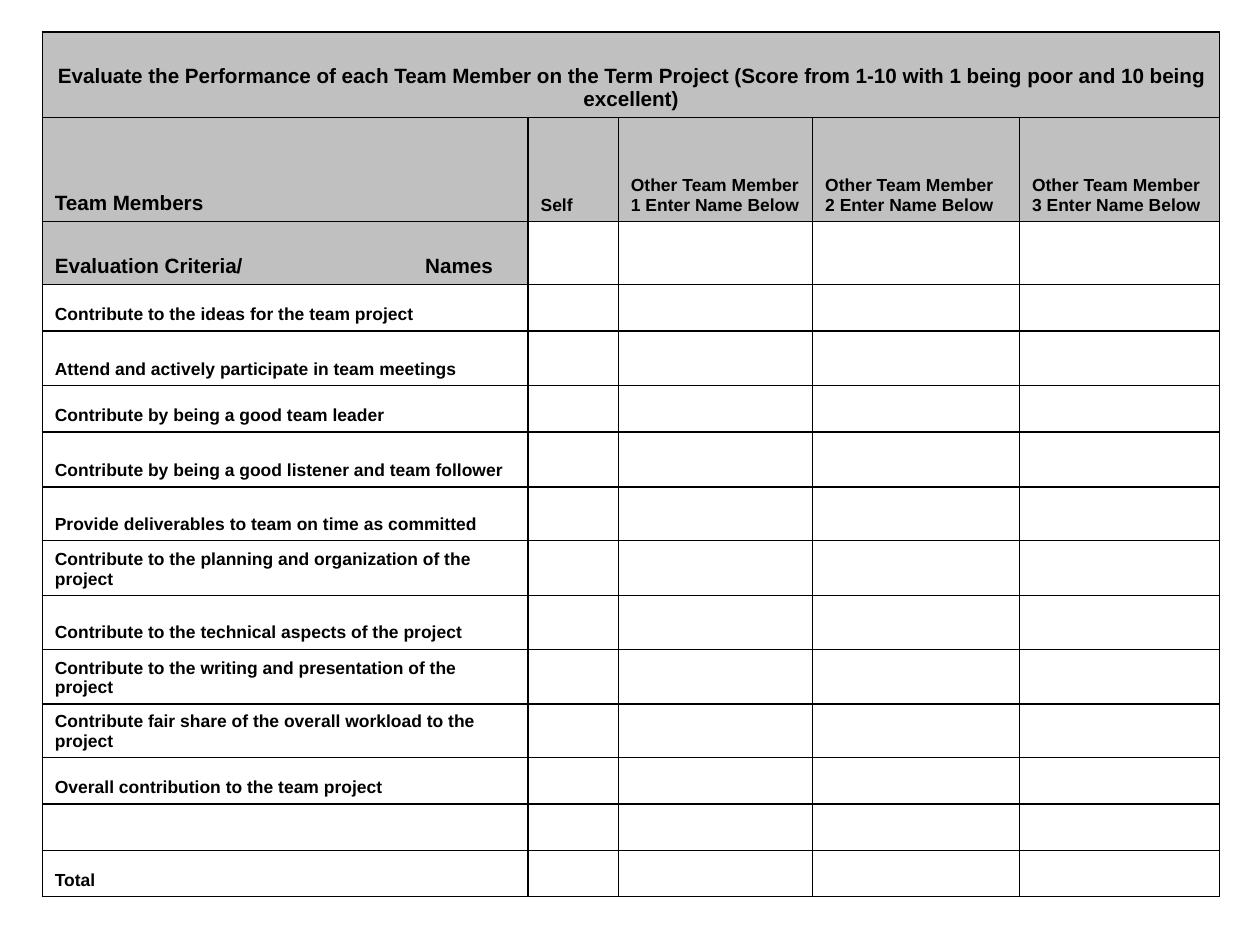
"""Build a one-slide form for scoring team members on a term project."""
from lxml.etree import SubElement
from pptx import Presentation
from pptx.dml.color import RGBColor
from pptx.enum.text import MSO_ANCHOR, PP_ALIGN
from pptx.oxml import parse_xml
from pptx.oxml.ns import nsdecls, qn
from pptx.util import Inches, Pt

BLACK = RGBColor(0x00, 0x00, 0x00)
WHITE = RGBColor(0xFF, 0xFF, 0xFF)
SILVER = RGBColor(0xC0, 0xC0, 0xC0)
FONT = "Arial"
LARGE, SMALL = 13, 11
CM_PER_INCH = 2.54

TITLE = ("Evaluate the Performance of each Team Member on the Term Project "
         "(Score from 1-10 with 1 being poor and 10 being excellent)")
MEMBERS = ["Self"] + [f"Other Team Member {n} Enter Name Below" for n in (1, 2, 3)]
CRITERIA = [
    ("Contribute to the ideas for the team project", 0.4),
    ("Attend and actively participate in team meetings", 0.48),
    ("Contribute by being a good team leader", 0.4),
    ("Contribute by being a good listener and team follower", 0.48),
    ("Provide deliverables to team on time as committed", 0.47),
    ("Contribute to the planning and organization of the project", 0.48),
    ("Contribute to the technical aspects of the project", 0.47),
    ("Contribute to the writing and presentation of the project", 0.48),
    ("Contribute fair share of the overall workload to the project", 0.47),
    ("Overall contribution to the team project", 0.4),
    ("", 0.4),
    ("Total", 0.4),
]
HEADER_HEIGHTS = [0.75, 0.91, 0.55]
COLUMN_WIDTHS = [4.25, 0.79, 1.7, 1.81, 1.75]
NAMES_TAB = 3.24


def write(cell, text, size=SMALL, align=PP_ALIGN.LEFT, tab=None):
    """Put bold text at the bottom of a cell, with an optional tab stop."""
    cell.vertical_anchor = MSO_ANCHOR.BOTTOM
    cell.margin_left = cell.margin_right = Inches(0.11)
    cell.margin_top = cell.margin_bottom = Inches(0.06)
    paragraph = cell.text_frame.paragraphs[0]
    paragraph.alignment = align
    if tab is not None:
        stops = SubElement(paragraph._p.get_or_add_pPr(), qn("a:tabLst"))
        SubElement(stops, qn("a:tab"), pos=str(Inches(tab)), algn="l")
    run = paragraph.add_run()
    run.text = text
    run.font.name = FONT
    run.font.size = Pt(size)
    run.font.bold = True
    run.font.color.rgb = BLACK


def outline(cell, width=1):
    """Draw a solid black border on all four sides of a cell."""
    properties = cell._tc.get_or_add_tcPr()
    for position, side in enumerate(("lnL", "lnR", "lnT", "lnB")):
        properties.insert(position, parse_xml(
            f'<a:{side} {nsdecls("a")} w="{Pt(width)}"><a:solidFill>'
            f'<a:srgbClr val="{BLACK}"/></a:solidFill></a:{side}>'))


def paint(cell, color):
    """Fill a cell with one colour."""
    cell.fill.solid()
    cell.fill.fore_color.rgb = color


def add_grid(slide, left, top, widths, heights):
    """Add a bordered white table with the given column widths and row heights."""
    grid = slide.shapes.add_table(
        len(heights), len(widths), Inches(left), Inches(top),
        Inches(sum(widths)), Inches(sum(heights))).table
    grid.first_row = grid.horz_banding = False
    for column, width in zip(grid.columns, widths):
        column.width = Inches(width)
    for row, height in zip(grid.rows, heights):
        row.height = Inches(height)
    for cell in grid.iter_cells():
        outline(cell)
        paint(cell, WHITE)
    return grid


def fill_headers(form):
    """Write the title, the member headings and the criteria heading."""
    form.cell(0, 0).merge(form.cell(0, len(COLUMN_WIDTHS) - 1))
    write(form.cell(0, 0), TITLE, size=LARGE, align=PP_ALIGN.CENTER)
    write(form.cell(1, 0), "Team Members", size=LARGE)
    for column, member in enumerate(MEMBERS, start=1):
        write(form.cell(1, column), member)
    write(form.cell(2, 0), "Evaluation Criteria/\tNames", size=LARGE, tab=NAMES_TAB)
    for row in (0, 1):
        for column in range(len(COLUMN_WIDTHS)):
            paint(form.cell(row, column), SILVER)
    paint(form.cell(2, 0), SILVER)


def fill_criteria(form):
    """Write one criterion in the first cell of each scoring row."""
    for row, (criterion, _) in enumerate(CRITERIA, start=len(HEADER_HEIGHTS)):
        if criterion:
            write(form.cell(row, 0), criterion)


def main():
    """Build the evaluation form and save it."""
    deck = Presentation()
    deck.slide_width = Inches(28 / CM_PER_INCH)
    deck.slide_height = Inches(21 / CM_PER_INCH)
    slide = deck.slides.add_slide(deck.slide_layouts[6])
    heights = HEADER_HEIGHTS + [height for _, height in CRITERIA]
    form = add_grid(slide, 0.37, 0.28, COLUMN_WIDTHS, heights)
    fill_headers(form)
    fill_criteria(form)
    deck.save("out.pptx")


main()
